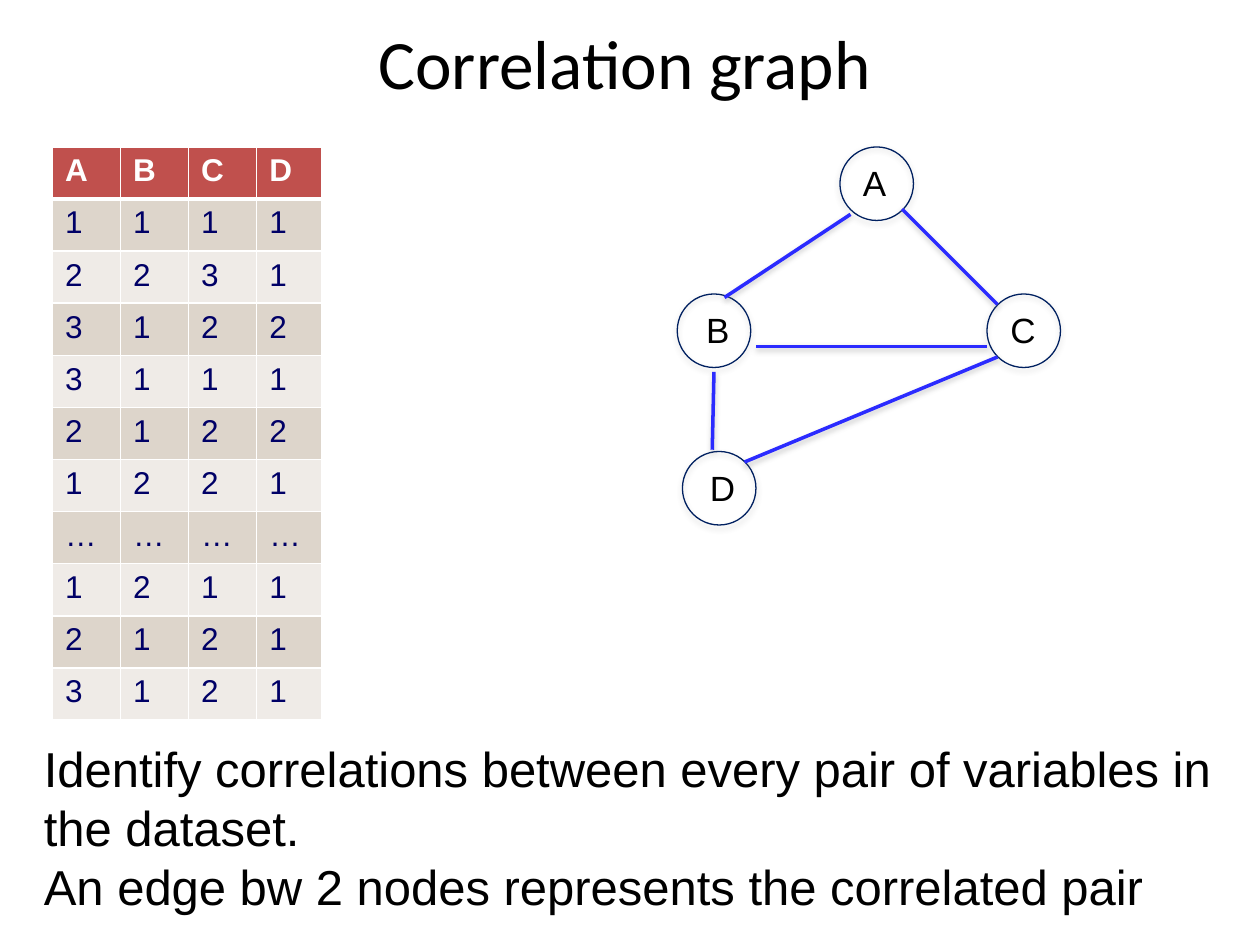
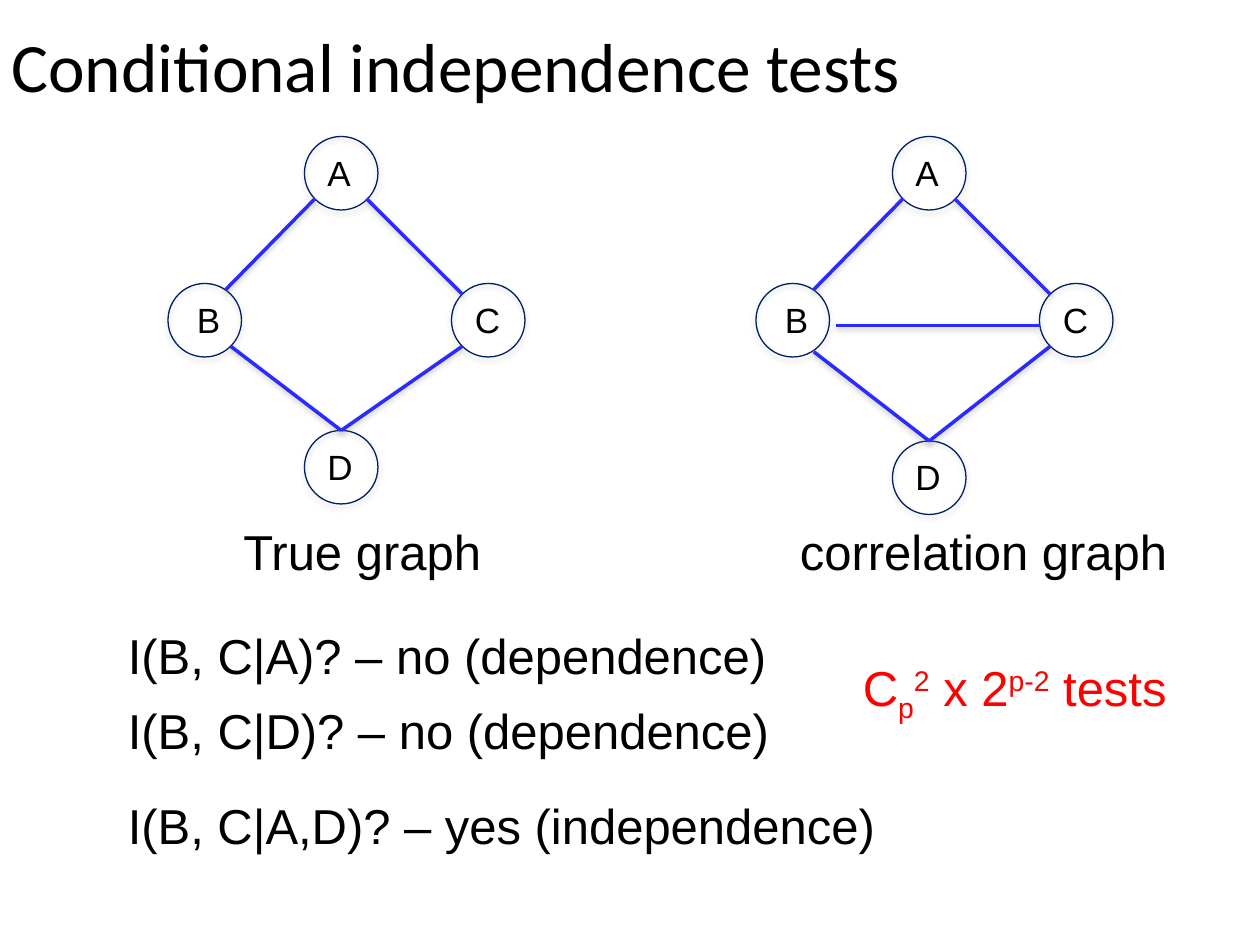
from lxml import etree
from pptx import Presentation
from pptx.dml.color import RGBColor
from pptx.enum.shapes import MSO_CONNECTOR, MSO_SHAPE
from pptx.enum.text import MSO_ANCHOR, MSO_AUTO_SIZE, PP_ALIGN
from pptx.oxml.ns import qn
from pptx.util import Pt

STRAIGHT = MSO_CONNECTOR.STRAIGHT
OVAL = MSO_SHAPE.OVAL
CENTER = PP_ALIGN.CENTER
MIDDLE = MSO_ANCHOR.MIDDLE
NO_AUTOFIT = MSO_AUTO_SIZE.NONE

BLACK = RGBColor(0x00, 0x00, 0x00)
WHITE = RGBColor(0xFF, 0xFF, 0xFF)
RED = RGBColor(0xFF, 0x00, 0x00)
NODE_LINE = RGBColor(0x00, 0x20, 0x60)
EDGE_BLUE = RGBColor(0x2B, 0x2B, 0xFF)
HEADER_FILL = RGBColor(0xC0, 0x50, 0x4D)
BAND_FILLS = RGBColor(0xEF, 0xEB, 0xE7), RGBColor(0xDD, 0xD5, 0xCB)
CELL_TEXT = RGBColor(0x00, 0x00, 0x66)
SHADOW_GREY = RGBColor(0x80, 0x80, 0x80)

BODY_FONT, TITLE_FONT = "Arial", "Calibri"
NODE_SIZE = 42
LABEL_DY, LABEL_HEIGHT = 4.8, 31.7
LINE_HEIGHT = 41.2

# Data table, one string per row
DATA_ROWS = ["ABCD", "1111", "2231", "3122", "3111", "2122",
             "1221", "…………", "1211", "2121", "3121"]
COLUMN_WIDTHS = [38.9, 38.9, 38.9, 37.4]
ROW_HEIGHT = 29.78

# Node label: offset from the circle's left, width of the text box
LABELS = {"A": (6, 54), "B": (9.4, 36), "C": (6.3, 27), "D": (6, 54)}
DATA_LABELS = {**LABELS, "D": (8.6, 36)}

# Nodes: left, top. Edges: x1, y1, x2, y2
DATA_NODES = {"B": (387, 168), "C": (564, 168), "A": (480, 84), "D": (390, 258)}
DATA_EDGES = [
    (515.5, 119.5, 570, 174),
    (486, 122.5, 414, 170),
    (408, 212.5, 407, 257),
    (432, 198, 564, 198),
    (425.5, 264, 570, 204),
]
TRUE_NODES = {"B": (96, 162), "C": (258, 162), "A": (174, 78), "D": (174, 246)}
TOP_EDGES = [(209.5, 113.5, 264, 168), (180, 113.5, 129, 165.5)]
TRUE_EDGES = TOP_EDGES + [(195, 246, 264, 198), (195, 246, 132, 198)]
CORRELATION_NODES = {**TRUE_NODES, "D": (174, 252)}
CORRELATION_EDGES = TOP_EDGES + [
    (258, 186, 141.5, 186),
    (195, 252, 264, 198),
    (195, 252, 129, 201),
]
CORRELATION_SHIFT = 336

SUMMARY = [
    "Identify correlations between every pair of variables in",
    "the dataset.",
    "An edge bw 2 nodes represents the correlated pair",
]
# Text, left, top, width
CAPTIONS = [
    ("True graph", 132, 294.5, 204),
    ("correlation graph", 450, 294.5, 234),
    ("I(B, C|A)? – no (dependence)", 66, 354, 492),
    ("I(B, C|D)? – no (dependence)", 66, 397, 492),
    ("I(B, C|A,D)? – yes (independence)", 66, 451, 474),
]
# Run text, baseline shift in percent
TEST_COUNT = [("C", 0), ("p", -25), ("2", 30), (" x 2", 0), ("p-2", 30), (" tests", 0)]


def style(p, size, color=BLACK, name=BODY_FONT, bold=False):
    p.font.size, p.font.name, p.font.bold = Pt(size), name, bold
    p.font.color.rgb = color


def add_shadow(s, distance, alpha):
    effects = etree.SubElement(s._element.spPr, qn("a:effectLst"))
    shadow = etree.SubElement(
        effects, qn("a:outerShdw"), blurRad=str(Pt(3.15)),
        dist=str(Pt(distance)), dir="5400000", rotWithShape="0")
    color = etree.SubElement(shadow, qn("a:srgbClr"), val=str(SHADOW_GREY))
    etree.SubElement(color, qn("a:alpha"), val=str(alpha * 1000))


def add_title_slide(prs, title, left, top, width, height):
    slide = prs.slides.add_slide(prs.slide_layouts[5])
    s = slide.shapes.title
    s.left, s.top, s.width, s.height = Pt(left), Pt(top), Pt(width), Pt(height)
    tf = s.text_frame
    tf.text = title
    tf.auto_size, tf.vertical_anchor = NO_AUTOFIT, MIDDLE
    p = tf.paragraphs[0]
    p.alignment = CENTER
    style(p, 39.6, name=TITLE_FONT)
    return slide


def add_text(slide, text, left, top, width, height=LINE_HEIGHT, size=28,
             color=BLACK, wrap=True):
    box = slide.shapes.add_textbox(Pt(left), Pt(top), Pt(width), Pt(height))
    tf = box.text_frame
    tf.word_wrap = wrap
    tf.text = text
    for p in tf.paragraphs:
        style(p, size, color)
    return tf


def add_graph(slide, nodes, edges, labels=LABELS, shift=0):
    """Draw labelled circles and edges; an edge starting at a circle's top is joined to it."""
    circles = {}
    for name, (left, top) in nodes.items():
        s = slide.shapes.add_shape(OVAL, Pt(left + shift), Pt(top),
                                   Pt(NODE_SIZE), Pt(NODE_SIZE))
        s.fill.background()
        s.line.color.rgb, s.line.width = NODE_LINE, Pt(0.75)
        add_shadow(s, 1.8, 35)
        circles[left + NODE_SIZE / 2, top] = s
        dx, width = labels[name]
        add_text(slide, name, left + shift + dx, top + LABEL_DY, width,
                 LABEL_HEIGHT, size=20)
    for x1, y1, x2, y2 in edges:
        edge = slide.shapes.add_connector(STRAIGHT, Pt(x1 + shift), Pt(y1),
                                          Pt(x2 + shift), Pt(y2))
        if (x1, y1) in circles:
            edge.begin_connect(circles[x1, y1], 0)
        edge.line.color.rgb, edge.line.width = EDGE_BLUE, Pt(2)
        add_shadow(edge, 1.6, 38)


def add_borders(cell, row):
    tcPr = cell._tc.get_or_add_tcPr()
    widths = {"L": 1, "R": 1, "T": 3 if row == 1 else 1, "B": 3 if row == 0 else 1}
    for side, width in widths.items():
        ln = etree.SubElement(tcPr, qn(f"a:ln{side}"), w=str(Pt(width)))
        fill = etree.SubElement(ln, qn("a:solidFill"))
        etree.SubElement(fill, qn("a:srgbClr"), val=str(WHITE))


def add_data_table(slide, left, top):
    frame = slide.shapes.add_table(
        len(DATA_ROWS), len(COLUMN_WIDTHS), Pt(left), Pt(top),
        Pt(sum(COLUMN_WIDTHS)), Pt(ROW_HEIGHT * len(DATA_ROWS)))
    table = frame.table
    for column, width in zip(table.columns, COLUMN_WIDTHS):
        column.width = Pt(width)
    for i, values in enumerate(DATA_ROWS):
        table.rows[i].height = Pt(ROW_HEIGHT)
        header = i == 0
        for j, value in enumerate(values):
            cell = table.cell(i, j)
            add_borders(cell, i)
            cell.fill.solid()
            cell.fill.fore_color.rgb = HEADER_FILL if header else BAND_FILLS[i % 2]
            cell.text = value
            style(cell.text_frame.paragraphs[0], 18,
                  WHITE if header else CELL_TEXT, bold=header)


def build_correlation_slide(prs):
    slide = add_title_slide(prs, "Correlation graph", 33, 10, 648, 50.4)
    add_data_table(slide, 30, 84)
    add_graph(slide, DATA_NODES, DATA_EDGES, DATA_LABELS)
    add_text(slide, "\n".join(SUMMARY), 18, 418.5, 689, 108.7, wrap=False)


def build_independence_slide(prs):
    slide = add_title_slide(prs, "Conditional independence tests", -19.4, 10, 560, 54)
    add_graph(slide, CORRELATION_NODES, CORRELATION_EDGES, shift=CORRELATION_SHIFT)
    add_graph(slide, TRUE_NODES, TRUE_EDGES)
    for caption in CAPTIONS:
        add_text(slide, *caption)
    p = add_text(slide, "", 486, 372, 198, color=RED).paragraphs[0]
    for text, baseline in TEST_COUNT:
        r = p.add_run()
        r.text = text
        if baseline:
            r._r.get_or_add_rPr().set("baseline", str(baseline * 1000))


def main():
    prs = Presentation()
    prs.slide_width, prs.slide_height = Pt(720), Pt(540)
    build_correlation_slide(prs)
    build_independence_slide(prs)
    prs.save("out.pptx")


if __name__ == "__main__":
    main()
